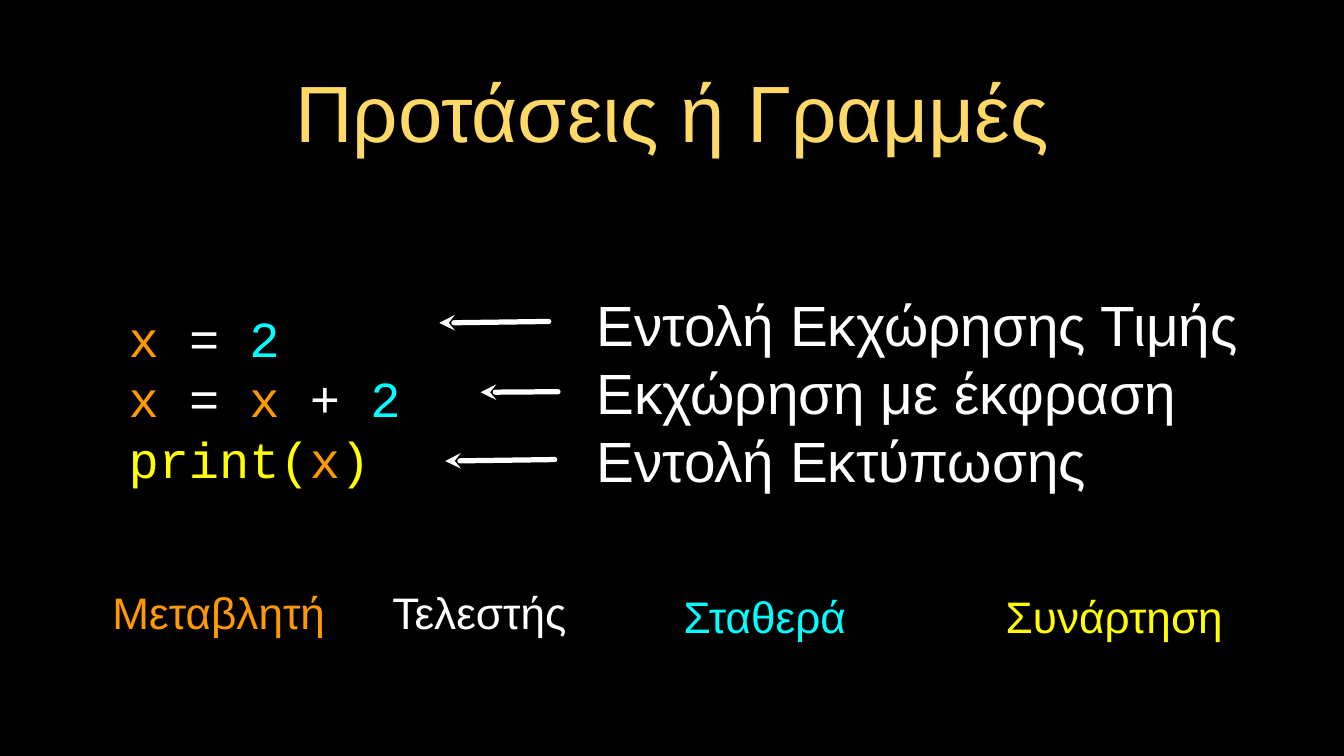
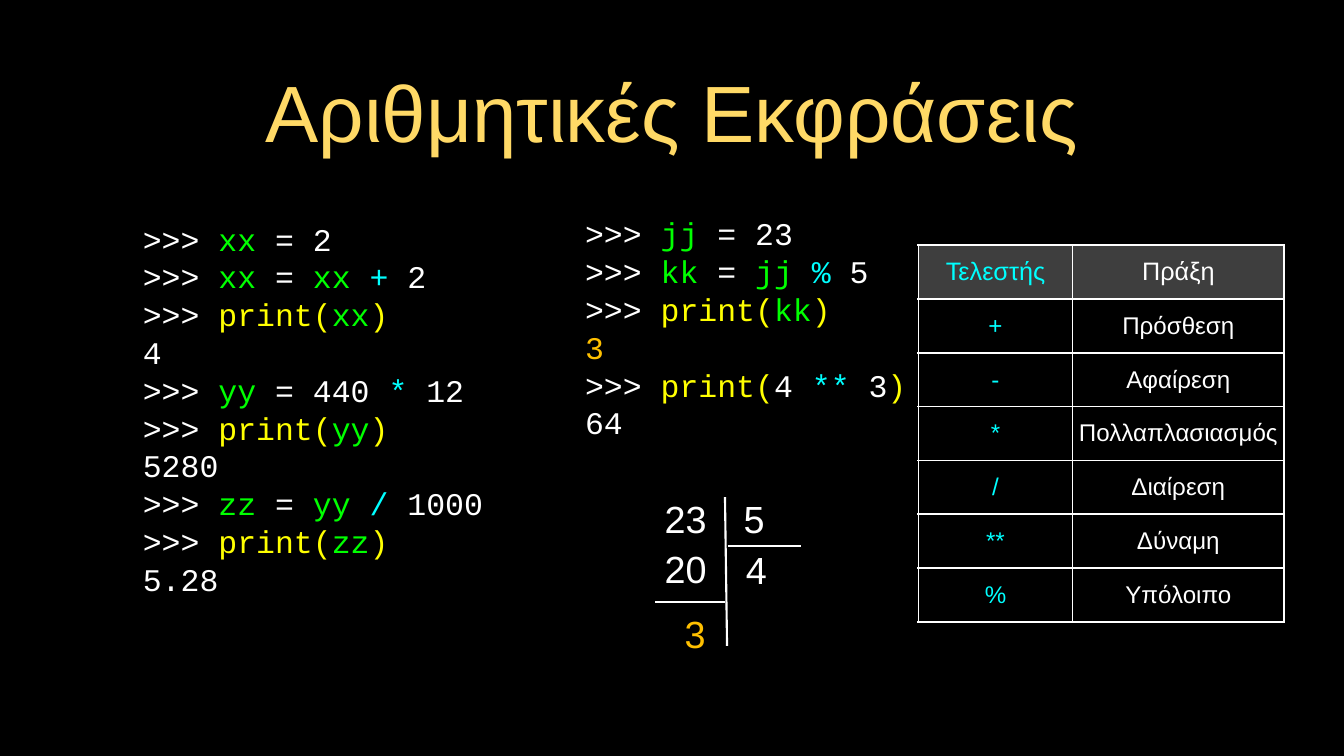
import pptx
import pptx.dml.color
import pptx.enum.shapes
import pptx.enum.text
import pptx.oxml.ns
import pptx.util
from lxml import etree

Cm = pptx.util.Cm
Pt = pptx.util.Pt
ALIGN = pptx.enum.text.PP_ALIGN
MIDDLE = pptx.enum.text.MSO_ANCHOR.MIDDLE
SANS, MONO = "Arial", "Courier New"
BLACK, WHITE, GOLD, AMBER = "000000", "FFFFFF", "FFD966", "FFC000"
ORANGE, CYAN, YELLOW, GREEN, GREY = "FF9900", "00FFFF", "FFFF00", "00FF00", "7F7F7F"


def paint(target, color):
    """Give a font, line or background fill a solid hex colour."""
    rgb = pptx.dml.color.RGBColor.from_string(color)
    if hasattr(target, "solid"):
        target.solid()
        target.fore_color.rgb = rgb
    else:
        paint(target.fill, color)


def add_element(parent, tag, **attributes):
    """Append a DrawingML element with the given attributes."""
    return etree.SubElement(parent, pptx.oxml.ns.qn(tag), attributes)


def write(frame, lines, size=36, font=SANS, color=WHITE, align=ALIGN.CENTER,
          inset=0, leading=1.2):
    """Fill a text frame; a line is a string or a list of (text, colour) spans."""
    frame.word_wrap = True
    frame.auto_size = pptx.enum.text.MSO_AUTO_SIZE.NONE
    frame.vertical_anchor = MIDDLE
    frame.margin_left = frame.margin_right = Cm(inset)
    frame.margin_top = frame.margin_bottom = Cm(inset)
    write_lines(frame, lines, size, font, color, align, leading)


def write_lines(frame, lines, size, font, color, align, leading=None):
    """Write one paragraph for each line."""
    for index, line in enumerate(lines):
        para = frame.add_paragraph() if index else frame.paragraphs[0]
        para.alignment = align
        para.space_before = Pt(0)
        if leading:
            para.line_spacing = Pt(leading * size)
        for text, span_color in [(line, color)] if isinstance(line, str) else line:
            span = para.add_run()
            span.text = text
            span.font.size = Pt(size)
            span.font.name = font
            paint(span.font, span_color)


def add_text(page, lines, left, top, width, height, **style):
    """Add a text box measured in centimetres."""
    box = page.shapes.add_textbox(Cm(left), Cm(top), Cm(width), Cm(height))
    write(box.text_frame, lines, **style)


def add_line(page, start, end, width=2, arrow=False):
    """Draw a white line, with an arrowhead at its start if wanted."""
    line = page.shapes.add_connector(
        pptx.enum.shapes.MSO_CONNECTOR.STRAIGHT, *map(Cm, start + end))
    paint(line.line, WHITE)
    line.line.width = Pt(width)
    if arrow:
        outline = line._element.spPr.find(pptx.oxml.ns.qn("a:ln"))
        outline.set("cap", "rnd")
        add_element(outline, "a:headEnd", type="stealth")
    add_element(line._element.spPr, "a:effectLst")


def add_page(deck, title):
    """Add a title-only slide with the shared title style."""
    page = deck.slides.add_slide(deck.slide_layouts[5])
    heading = page.shapes.title
    heading.left, heading.top, heading.width, heading.height = map(
        Cm, (2.26, 2.18, 40.64, 3.07))
    write(heading.text_frame, [title], size=76, color=GOLD, inset=0.1)
    return page


def prompt(*spans):
    """Return a console line that starts with the prompt."""
    return [(">>> ", WHITE), *spans]


def print_call(name, color=GREEN):
    """Return the spans of a print call."""
    return [("print(", YELLOW), (name, color), (")", YELLOW)]


def assign(name, value):
    """Return a console line that assigns a plain value."""
    return prompt((name, GREEN), (f" = {value}", WHITE))


def compute(name, operand, operator, value):
    """Return a console line that assigns an expression on a variable."""
    return prompt((name, GREEN), (" = ", WHITE), (operand + " ", GREEN),
                  (operator, CYAN), (" " + value, WHITE))


def add_console(page, lines, left, top, width, height, size=30):
    """Add a block of coloured code."""
    add_text(page, lines, left, top, width, height, size=size, font=MONO,
             align=ALIGN.LEFT)


def add_legend(page, left, top):
    """Name the meaning of each code colour in a row."""
    for label, color, x, y, width in (
            ("Μεταβλητή", ORANGE, 0, 0, 7.34), ("Τελεστής", WHITE, 9.38, 0, 6.1),
            ("Σταθερά", CYAN, 18.77, 0.13, 6.5),
            ("Συνάρτηση", YELLOW, 28.91, 0.13, 9.7)):
        add_text(page, [label], left + x, top + y, width, 2, size=42, color=color)


def add_operator_table(page, left, top):
    """Add the table of operators and their operations."""
    rows = [("Τελεστής", "Πράξη"), ("+", "Πρόσθεση"), ("-", "Αφαίρεση"),
            ("*", "Πολλαπλασιασμός"), ("/", "Διαίρεση"), ("**", "Δύναμη"),
            ("%", "Υπόλοιπο")]
    widths, row_height = (5.18, 7.11), 1.81
    table = page.shapes.add_table(len(rows), 2, Cm(left), Cm(top), Cm(sum(widths)),
                                  Cm(row_height * len(rows))).table
    table.first_row = table.horz_banding = False
    for column, width in zip(table.columns, widths):
        column.width = Cm(width)
    for row_index, texts in enumerate(rows):
        table.rows[row_index].height = Cm(row_height)
        for column_index, text in enumerate(texts):
            format_cell(table.cell(row_index, column_index), text,
                        CYAN if column_index == 0 else WHITE, row_index == 0)


def format_cell(cell, text, color, header):
    """Write a cell and set its fill and white borders."""
    cell.vertical_anchor = MIDDLE
    cell.margin_left = cell.margin_right = Cm(0.1)
    cell.margin_top = cell.margin_bottom = Cm(0.1)
    write_lines(cell.text_frame, [text], 24 if header else 23, SANS, color, ALIGN.CENTER)
    properties = cell._tc.get_or_add_tcPr()
    for side in "LRTB":
        border = add_element(properties, f"a:ln{side}", w=str(Pt(2)))
        fill = add_element(border, "a:solidFill")
        add_element(fill, "a:srgbClr", val=WHITE)
    if header:
        paint(cell.fill, GREY)
        shade = properties.find(pptx.oxml.ns.qn("a:solidFill"))
        add_element(shade[0], "a:alpha", val="49000")
    else:
        cell.fill.background()


def add_division(page, left, top):
    """Show the long division of 23 by 5."""
    for start, end in (((2.36, 0.2), (2.43, 5.2)), ((2.46, 1.84), (4.9, 1.84)),
                       ((0.02, 3.72), (2.36, 3.72))):
        add_line(page, (left + start[0], top + start[1]), (left + end[0], top + end[1]))
    for number, x, y, width, color in (
            ("5", 2.87, 0.06, 0.94, WHITE), ("23", 0.25, 0.06, 1.57, WHITE),
            ("4", 2.71, 1.76, 1.42, WHITE), ("20", 0.25, 1.74, 1.57, WHITE),
            ("3", 0.89, 3.9, 0.94, AMBER)):
        add_text(page, [number], left + x, top + y, width, 1.73, color=color)


def build_statements(deck):
    """Build the slide on statements."""
    page = add_page(deck, "Προτάσεις ή Γραμμές")
    code = [[("x ", ORANGE), ("= ", WHITE), ("2", CYAN)],
            [("x ", ORANGE), ("= ", WHITE), ("x ", ORANGE), ("+ ", WHITE), ("2", CYAN)],
            print_call("x", ORANGE)]
    add_console(page, code, 4.32, 7.74, 11.13, 11.23, size=48)
    add_legend(page, 3.68, 19.56)
    add_text(page, ["Εντολή Εκχώρησης Τιμής", "Εκχώρηση με έκφραση", "Εντολή Εκτύπωσης"],
             20.04, 7.54, 24.66, 11.23, size=54, align=ALIGN.LEFT)
    for start, end in (((14.76, 10.85), (18.44, 10.8)), ((16.15, 13.18), (18.75, 13.16)),
                       ((14.96, 15.49), (18.64, 15.44))):
        add_line(page, start, end, width=5, arrow=True)


def build_expressions(deck):
    """Build the slide on numeric expressions."""
    page = add_page(deck, "Αριθμητικές Εκφράσεις")
    arithmetic = [
        assign("xx", "2"), compute("xx", "xx", "+", "2"), prompt(*print_call("xx")), "4",
        prompt(("yy", GREEN), (" = 440 ", WHITE), ("*", CYAN), (" 12", WHITE)),
        prompt(*print_call("yy")), "5280",
        compute("zz", "yy", "/", "1000"), prompt(*print_call("zz")), "5.28"]
    remainder = [
        assign("jj", "23"), compute("kk", "jj", "%", "5"), prompt(*print_call("kk")),
        [("3", AMBER)],
        prompt(("print(", YELLOW), ("4 ", WHITE), ("**", CYAN), (" 3", WHITE), (")", YELLOW)),
        "64"]
    add_console(page, arithmetic, 4.8, 6.35, 12.4, 14.76)
    add_console(page, remainder, 19.66, 6.53, 11.18, 8.97)
    add_operator_table(page, 30.86, 8.23)
    add_division(page, 22, 16.5)


def main():
    """Build and save the deck."""
    deck = pptx.Presentation()
    deck.slide_width, deck.slide_height = Cm(45.16), Cm(25.4)
    paint(deck.slide_master.background.fill, BLACK)
    build_statements(deck)
    build_expressions(deck)
    deck.save("out.pptx")


if __name__ == "__main__":
    main()
